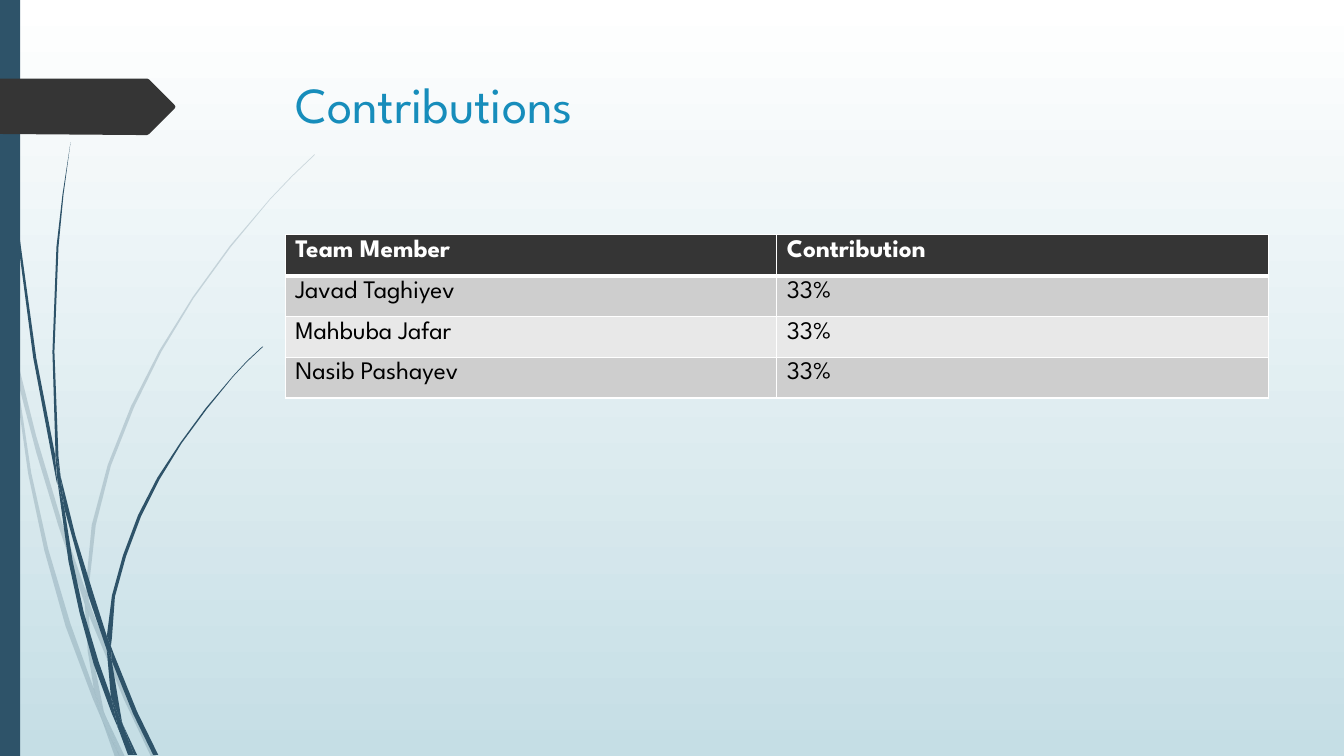
import lxml.etree
import pptx
import pptx.dml.color
import pptx.enum.shapes
import pptx.enum.text
import pptx.oxml.ns
import pptx.util

PX = 9144
FONT = "League Spartan"
TEAL, CHARCOAL, WHITE = "2E5369", "353535", "FFFFFF"

PALE_BLADES = [
    [(11, 350), (9, 322), (0, 282), (0, 299), (10, 344)],
    [(58, 522), (84, 599), (85, 586), (62, 520), (36, 433), (14, 345), (17, 376), (36, 449)],
    [(92, 607), (88, 596), (88, 610), (123, 694), (150, 751), (155, 751), (127, 692)],
    [(119, 751), (124, 751), (105, 711)],
    [(93, 683), (70, 619), (48, 545), (31, 469), (17, 376), (11, 350), (28, 470),
     (44, 546), (65, 621), (92, 693), (101, 714), (99, 707)],
    [(84, 599), (87, 646), (93, 683), (96, 692), (105, 711), (103, 706), (91, 646),
     (88, 610), (88, 608)],
    [(88, 584), (95, 521), (110, 462), (133, 404), (160, 349), (192, 296), (229, 245),
     (268, 198), (290, 175), (312, 154), (312, 153), (289, 175), (268, 197), (228, 244),
     (191, 295), (158, 348), (130, 403), (107, 461), (91, 521), (85, 584), (85, 586),
     (88, 596)],
    [(101, 714), (114, 751), (119, 751)],
    [(88, 608), (88, 610), (88, 596), (85, 586), (84, 599)],
    [(96, 692), (93, 683), (99, 707), (101, 714), (119, 751), (105, 711)],
]
DARK_BLADES = [
    [(7, 110), (17, 233), (33, 355), (56, 477), (57, 481), (55, 457), (55, 453),
     (36, 355), (19, 232), (8, 109), (5, 48), (4, 0), (3, 0), (4, 48)],
    [(88, 592), (106, 645), (106, 633), (106, 631), (93, 590), (75, 532), (60, 472),
     (64, 505)],
    [(113, 649), (110, 641), (111, 656), (132, 708), (152, 749), (157, 749), (136, 706)],
    [(110, 691), (98, 657), (83, 607), (72, 556), (64, 505), (57, 477), (68, 557),
     (79, 608), (93, 659), (111, 708), (117, 722), (116, 717)],
    [(60, 472), (58, 453), (54, 349), (58, 245), (63, 193), (70, 141), (62, 193),
     (56, 245), (52, 349), (55, 449)],
    [(133, 749), (136, 749), (122, 719)],
    [(57, 477), (64, 505), (60, 472), (55, 449), (55, 453)],
    [(111, 633), (114, 592), (125, 552), (140, 512), (158, 476), (180, 440), (205, 406),
     (231, 374), (245, 359), (261, 344), (260, 344), (245, 358), (231, 373), (204, 405),
     (179, 439), (156, 474), (137, 511), (122, 551), (111, 591), (106, 631), (110, 641)],
    [(117, 722), (127, 749), (131, 749)],
    [(106, 645), (110, 691), (116, 706), (122, 719), (121, 716), (111, 656), (109, 651)],
    [(106, 645), (109, 651), (111, 656), (110, 641), (106, 631), (106, 633)],
    [(116, 706), (110, 691), (116, 717), (117, 722), (130, 749), (133, 749), (122, 719)],
]
PAGE_TAG = [(173, 108), (148, 133), (146, 134), (136, 134), (0, 133), (0, 78), (136, 78),
            (146, 78), (148, 79), (173, 104), (174, 106)]
CONTRIBUTIONS = [
    ("Team Member", "Contribution"),
    ("Javad Taghiyev", "33%"),
    ("Mahbuba Jafar", "33%"),
    ("Nasib Pashayev", "33%"),
]


def px(*lengths):
    """Turn pixel lengths into EMU."""
    return [pptx.util.Emu(length * PX) for length in lengths]


def rgb(code):
    """Return the colour for a hex string."""
    return pptx.dml.color.RGBColor.from_string(code)


def add_xml(parent, tag, **attributes):
    """Append a DrawingML element to a parent."""
    return lxml.etree.SubElement(parent, pptx.oxml.ns.qn(tag), attributes)


def paint(shape, color, opacity=100):
    """Give a shape a plain fill with no line or shadow."""
    shape.shadow.inherit = False
    shape.line.fill.background()
    shape.fill.solid()
    shape.fill.fore_color.rgb = rgb(color)
    if opacity < 100:
        tint = shape.fill._xPr.find(".//" + pptx.oxml.ns.qn("a:srgbClr"))
        add_xml(tint, "a:alpha", val=str(opacity * 1000))


def style_text(frame, size, color, bold=False):
    """Format every run of a text frame."""
    for paragraph in frame.paragraphs:
        for run in paragraph.runs:
            run.font.name = FONT
            run.font.size = pptx.util.Pt(size)
            run.font.bold = bold
            run.font.color.rgb = rgb(color)


def add_outline(slide, points, color, opacity=100):
    """Draw a closed filled outline through the points."""
    builder = slide.shapes.build_freeform(*points[0], scale=PX)
    builder.add_line_segments(points[1:])
    paint(builder.convert_to_shape(), color, opacity)


def add_side_bar(slide, box):
    """Add the bar along the left edge."""
    bar = slide.shapes.add_shape(pptx.enum.shapes.MSO_SHAPE.RECTANGLE, *px(*box))
    paint(bar, TEAL)


def add_title(slide, text, box):
    """Add the slide heading."""
    frame = slide.shapes.add_textbox(*px(*box)).text_frame
    frame.word_wrap = True
    frame.vertical_anchor = pptx.enum.text.MSO_ANCHOR.TOP
    frame.text = text
    style_text(frame, 36, "178DBB")


def border_cell(cell, widths):
    """Draw white cell borders with widths in points for each side."""
    properties = cell._tc.get_or_add_tcPr()
    for side, width in widths.items():
        edge = add_xml(properties, f"a:ln{side}", w=str(pptx.util.Pt(width)))
        add_xml(add_xml(edge, "a:solidFill"), "a:srgbClr", val=WHITE)


def add_contribution_table(slide, rows, box):
    """Add the table with a dark header and banded rows."""
    table = slide.shapes.add_table(len(rows), len(rows[0]), *px(*box)).table
    for i, row in enumerate(rows):
        header = i == 0
        fill = CHARCOAL if header else ("E8E8E8", "CECECE")[i % 2]
        for j, text in enumerate(row):
            cell = table.cell(i, j)
            border_cell(cell, {"L": 1, "R": 1, "T": 3 if i == 1 else 1, "B": 3 if header else 1})
            cell.fill.solid()
            cell.fill.fore_color.rgb = rgb(fill)
            cell.text_frame.text = text
            style_text(cell.text_frame, 18, WHITE if header else "000000", header)


def set_background(slide):
    """Fill the slide with a vertical gradient."""
    fill = slide.background.fill
    fill.gradient()
    fill.gradient_angle = 270
    for stop, color, position in zip(fill.gradient_stops, (WHITE, "C5DEE5"), (0, 1)):
        stop.color.rgb = rgb(color)
        stop.position = position


def main():
    """Build and save the contributions slide."""
    presentation = pptx.Presentation()
    presentation.slide_width, presentation.slide_height = px(1333, 750)
    slide = presentation.slides.add_slide(presentation.slide_layouts[6])
    set_background(slide)
    for blades, opacity in ((PALE_BLADES, 20), (DARK_BLADES, 100)):
        for points in blades:
            add_outline(slide, points, TEAL, opacity)
    add_side_bar(slide, (0, 0, 20, 750))
    add_outline(slide, PAGE_TAG, CHARCOAL)
    add_title(slide, "Contributions", (283, 68, 975, 140))
    add_contribution_table(slide, CONTRIBUTIONS, (283, 233, 975, 162))
    presentation.save("out.pptx")


if __name__ == "__main__":
    main()
